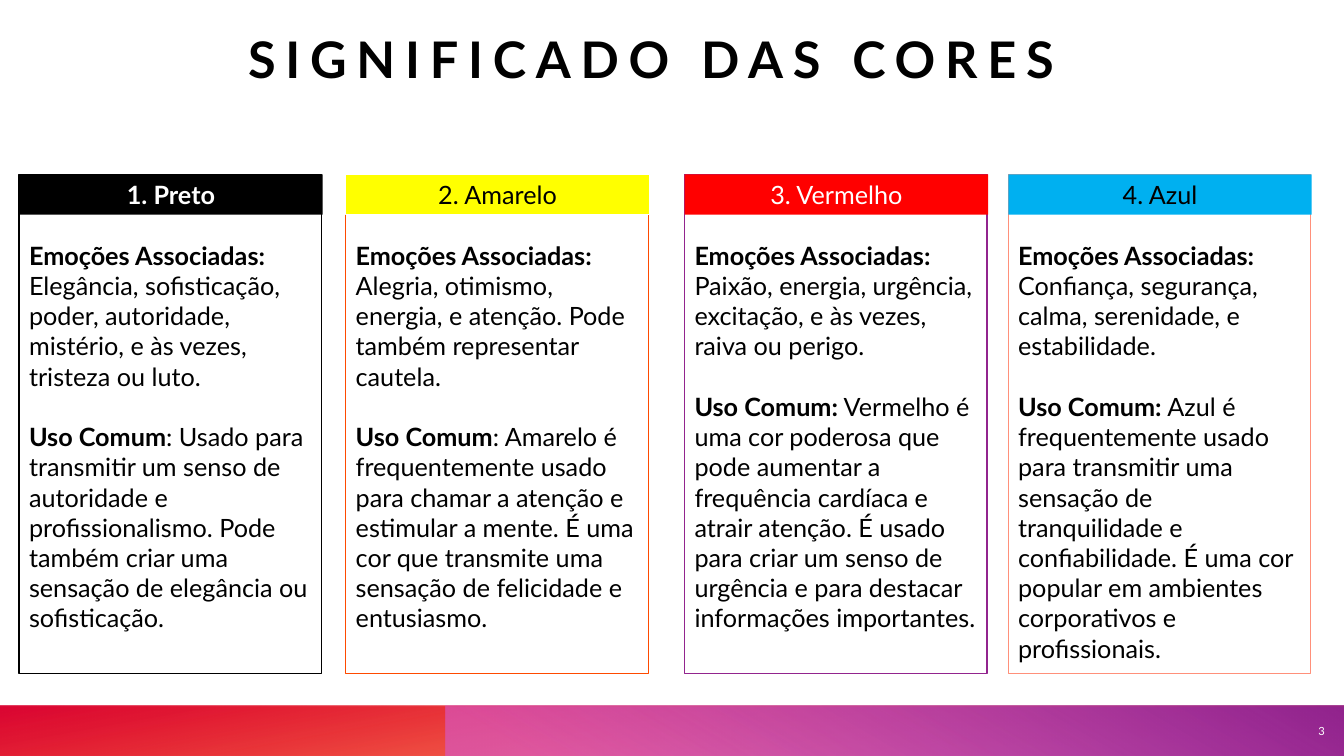
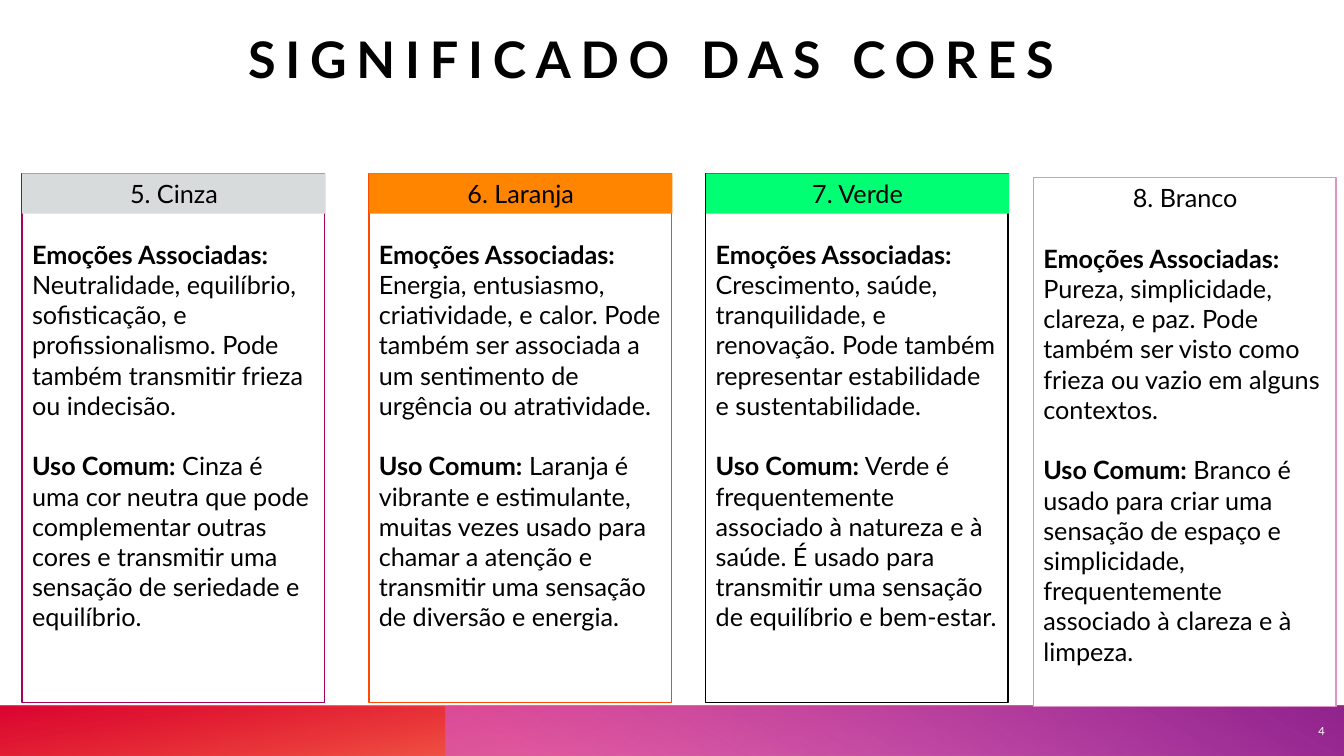
from lxml.etree import SubElement
from pptx import Presentation
from pptx.dml.color import RGBColor
from pptx.enum.shapes import MSO_SHAPE as SHAPE
from pptx.enum.text import MSO_ANCHOR as ANCHOR, PP_ALIGN as ALIGN
from pptx.oxml import parse_xml
from pptx.oxml.ns import nsdecls, qn
from pptx.util import Inches, Pt

FONT = "Lato"
TITLE = "SIGNIFICADO DAS CORES"
COLORS = {
    "black": "000000", "white": "FFFFFF", "yellow": "FFFF00", "red": "FF0000",
    "blue": "00B0F0", "gray": "D8DBDB", "orange": "FF8400", "green": "00FF73",
    "flame": "FE4A00", "crimson": "DA002F", "orchid": "D861D4", "purple": "92248E",
    "salmon": "FF907A", "wine": "A6025C", "pink": "DE95C4",
}
W, H = 13.33, 7.5
BAND_TOP, BAND_H = 7, 0.5
CARD_W, HEADER_H, LINE_H = 3, 0.4, 0.3
INSET = 0.05

# Band layers: left, flip and rotation, angle, stops (position, colour, opacity)
BANDS = [
    (0, {"rot": "10800000", "flipH": "1"}, 100,
     [(14, "flame", 28), (100, "crimson", 85)]),
    (W / 3 - 0.02, {"flipH": "1"}, 240,
     [(9, "orchid", 55), (99, "purple", 100)]),
]

# Per slide: page number, card height, cards
# Per card: left, top, heading, heading fill, heading ink, border, emotions, use
PAGES = [
    (3, 4.95, [
        (0.19, 1.73, "1. Preto", "black", "white", "black",
         "Elegância, sofisticação, poder, autoridade, mistério, e às vezes, "
         "tristeza ou luto.",
         "Uso Comum|: Usado para transmitir um senso de autoridade e "
         "profissionalismo. Pode também criar uma sensação de elegância ou "
         "sofisticação."),
        (3.43, 1.73, "2. Amarelo", "yellow", "black", "flame",
         "Alegria, otimismo, energia, e atenção. Pode também representar cautela.",
         "Uso Comum|: Amarelo é frequentemente usado para chamar a atenção e "
         "estimular a mente. É uma cor que transmite uma sensação de felicidade "
         "e entusiasmo."),
        (6.79, 1.73, "3. Vermelho", "red", "white", "purple",
         "Paixão, energia, urgência, excitação, e às vezes, raiva ou perigo.",
         "Uso Comum:| Vermelho é uma cor poderosa que pode aumentar a "
         "frequência cardíaca e atrair atenção. É usado para criar um senso de "
         "urgência e para destacar informações importantes."),
        (10, 1.73, "4. Azul", "blue", "black", "salmon",
         "Confiança, segurança, calma, serenidade, e estabilidade.",
         "Uso Comum:| Azul é frequentemente usado para transmitir uma sensação "
         "de tranquilidade e confiabilidade. É uma cor popular em ambientes "
         "corporativos e profissionais."),
    ]),
    (4, 5.25, [
        (0.22, 1.72, "5. Cinza", "gray", "black", "wine",
         "Neutralidade, equilíbrio, sofisticação, e profissionalismo. Pode "
         "também transmitir frieza ou indecisão.",
         "Uso Comum:| Cinza é uma cor neutra que pode complementar outras cores "
         "e transmitir uma sensação de seriedade e equilíbrio."),
        (3.66, 1.72, "6. Laranja", "orange", "black", "flame",
         "Energia, entusiasmo, criatividade, e calor. Pode também ser associada "
         "a um sentimento de urgência ou atratividade.",
         "Uso Comum:| Laranja é vibrante e estimulante, muitas vezes usado para "
         "chamar a atenção e transmitir uma sensação de diversão e energia."),
        (7, 1.72, "7. Verde", "green", "black", "black",
         "Crescimento, saúde, tranquilidade, e renovação. Pode também "
         "representar estabilidade e sustentabilidade.",
         "Uso Comum:| Verde é frequentemente associado à natureza e à saúde. É "
         "usado para transmitir uma sensação de equilíbrio e bem-estar."),
        (10.25, 1.76, "8. Branco", None, "black", "pink",
         "Pureza, simplicidade, clareza, e paz. Pode também ser visto como "
         "frieza ou vazio em alguns contextos.",
         "Uso Comum:| Branco é usado para criar uma sensação de espaço e "
         "simplicidade, frequentemente associado à clareza e à limpeza."),
    ]),
]


def add_box(slide, left, top, width, height, fill=None, line=None, weight=1):
    box = slide.shapes.add_shape(SHAPE.RECTANGLE, Inches(left), Inches(top),
                                 Inches(width), Inches(height))
    box.shadow.inherit = False
    if fill:
        box.fill.solid()
        box.fill.fore_color.rgb = RGBColor.from_string(COLORS[fill])
    else:
        box.fill.background()
    if line:
        box.line.color.rgb = RGBColor.from_string(COLORS[line])
        box.line.width = Pt(weight)
    else:
        box.line.fill.background()
    box.text_frame.word_wrap = True
    return box


def style(paragraph, align, size, ink="black", bold=False):
    paragraph.alignment = align
    for run in paragraph.runs:
        run.font.name, run.font.size, run.font.bold = FONT, Pt(size), bold
        run.font.color.rgb = RGBColor.from_string(COLORS[ink])


prs = Presentation()
prs.slide_width, prs.slide_height = Inches(W), Inches(H)

for number, card_h, cards in PAGES:
    slide = prs.slides.add_slide(prs.slide_layouts[6])

    # Footer band: the translucent pair is laid twice
    for top in (BAND_TOP, BAND_TOP + 0.01):
        for left, turn, angle, stops in BANDS:
            band = add_box(slide, left, top, W - left, BAND_H)
            props = band.element.spPr
            for key, value in turn.items():
                props.find(qn("a:xfrm")).set(key, value)
            gradient = parse_xml(f'<a:gradFill {nsdecls("a")} rotWithShape="1"/>')
            stop_list = SubElement(gradient, qn("a:gsLst"))
            for position, color, opacity in stops:
                stop = SubElement(stop_list, qn("a:gs"), pos=str(position * 1000))
                tint = SubElement(stop, qn("a:srgbClr"), val=COLORS[color])
                SubElement(tint, qn("a:alpha"), val=str(opacity * 1000))
            SubElement(gradient, qn("a:lin"), ang=str(angle * 60000), scaled="0")
            props.replace(props.find(qn("a:noFill")), gradient)

    # Title
    title = slide.shapes.add_textbox(Inches(2.46), Inches(0.26),
                                     Inches(8.42), Inches(0.62)).text_frame
    title.word_wrap = True
    title.vertical_anchor = ANCHOR.BOTTOM
    title.margin_left = title.margin_right = title.margin_top = title.margin_bottom = 0
    title.text = TITLE
    style(title.paragraphs[0], ALIGN.LEFT, 36, bold=True)
    title.paragraphs[0].runs[0].font._element.set("spc", "700")

    # Page number
    page = slide.shapes.add_textbox(Inches(12.76), Inches(BAND_TOP + 0.01),
                                    Inches(0.48), Inches(0.49)).text_frame
    page.word_wrap = True
    page.vertical_anchor = ANCHOR.MIDDLE
    page.text = str(number)
    style(page.paragraphs[0], ALIGN.RIGHT, 8, "white")

    # Colour cards, with the text starting two lines below the top
    for left, top, name, fill, ink, border, emotions, use in cards:
        body = add_box(slide, left, top, CARD_W, card_h, "white", border).text_frame
        body.vertical_anchor = ANCHOR.TOP
        body.margin_top = Inches(INSET + 2 * LINE_H)
        paragraphs = [body.paragraphs[0], body.add_paragraph()]
        for paragraph, text in zip(paragraphs, ("Emoções Associadas:| " + emotions, use)):
            for part in text.split("|"):
                paragraph.add_run().text = part
            style(paragraph, ALIGN.LEFT, 18)
            paragraph.runs[0].font.bold = True
        paragraphs[1].space_before = Inches(LINE_H)

        outline = "white" if fill == "yellow" else None
        heading = add_box(slide, left, top, CARD_W + 0.01, HEADER_H,
                          fill, outline, 0.75).text_frame
        heading.vertical_anchor = ANCHOR.MIDDLE
        heading.text = name
        style(heading.paragraphs[0], ALIGN.CENTER, 18, ink, bold=fill == "black")

prs.save("out.pptx")
